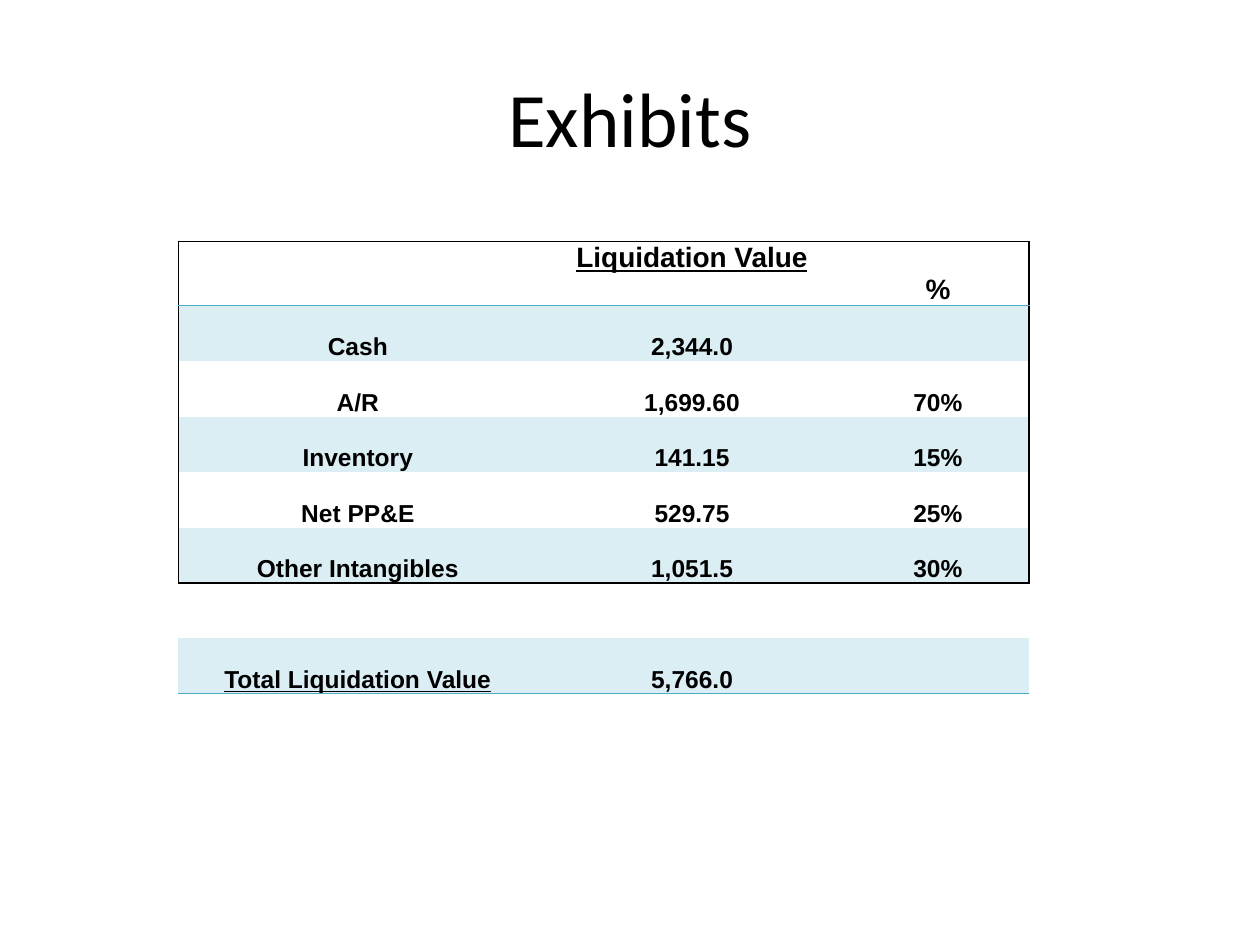
from lxml import etree
from pptx import Presentation
from pptx.dml.color import RGBColor
from pptx.enum.text import MSO_ANCHOR, PP_ALIGN
from pptx.oxml.ns import qn
from pptx.util import Pt

COLORS = {"text": "000000", "frame": "000000", "rule": "4BACC6", "band": "DAEEF3"}


def write(frame, text, font="Arial", size=14, bold=True, underline=False):
    paragraph = frame.paragraphs[0]
    paragraph.alignment = PP_ALIGN.CENTER
    run = paragraph.add_run()
    run.text = text
    run.font.name = font
    run.font.size = Pt(size)
    run.font.bold = bold
    run.font.underline = underline
    run.font.color.rgb = RGBColor.from_string(COLORS["text"])


def set_borders(cell, edges):
    """Draw the given edges, {side: (colour, width)}, and clear the others."""
    properties = cell._tc.get_or_add_tcPr()
    for index, side in enumerate("LRTB"):
        line = etree.Element(qn(f"a:ln{side}"))
        if side in edges:
            color, width = edges[side]
            line.set("w", str(Pt(width)))
            fill = etree.SubElement(line, qn("a:solidFill"))
            etree.SubElement(fill, qn("a:srgbClr"), val=COLORS[color])
        else:
            etree.SubElement(line, qn("a:noFill"))
        properties.insert(index, line)


presentation = Presentation()
presentation.slide_width = Pt(720)
presentation.slide_height = Pt(540)
slide = presentation.slides.add_slide(presentation.slide_layouts[6])

# Title
title = slide.shapes.add_textbox(Pt(36), Pt(21.6), Pt(648), Pt(90)).text_frame
title.word_wrap = True
title.vertical_anchor = MSO_ANCHOR.MIDDLE
write(title, "Exhibits", font="Calibri", size=44, bold=False)

# Liquidation table
rows = [
    ("", "Liquidation Value", "%"),
    ("Cash", "2,344.0", ""),
    ("A/R", "1,699.60", "70%"),
    ("Inventory", "141.15", "15%"),
    ("Net PP&E", "529.75", "25%"),
    ("Other Intangibles", "1,051.5", "30%"),
    ("", "", ""),
    ("Total Liquidation Value", "5,766.0", ""),
]
underlined = {"Liquidation Value", "Total Liquidation Value"}
column_widths = [205, 177, 104]
header_height, row_height = 36.7, 31.7
last_asset = 5
total = len(rows) - 1
frame_line, rule_line = ("frame", 1), ("rule", 0.5)
top_lines = {0: frame_line, 1: rule_line, last_asset + 1: frame_line}
bottom_lines = {0: rule_line, last_asset: frame_line, total: rule_line}

liquidation = slide.shapes.add_table(
    len(rows), len(column_widths), Pt(102), Pt(138),
    Pt(sum(column_widths)), Pt(header_height + total * row_height)).table
liquidation.first_row = False
liquidation.horz_banding = False
for column, width in zip(liquidation.columns, column_widths):
    column.width = Pt(width)

for r, values in enumerate(rows):
    liquidation.rows[r].height = Pt(row_height if r else header_height)
    for c, value in enumerate(values):
        cell = liquidation.cell(r, c)
        cell.margin_left = cell.margin_right = cell.margin_top = Pt(0.7)
        cell.margin_bottom = Pt(0)
        # The value heading sits on the upper line, all else at the bottom
        heading = (r, c) == (0, 1)
        cell.vertical_anchor = MSO_ANCHOR.TOP if heading else MSO_ANCHOR.BOTTOM
        if value:
            write(cell.text_frame, value, size=14 if r else 16,
                  underline=value in underlined)

        # Every second row is tinted
        if r % 2:
            cell.fill.solid()
            cell.fill.fore_color.rgb = RGBColor.from_string(COLORS["band"])
        else:
            cell.fill.background()

        # Frame around the assets, thin rules under header and total
        edges = {}
        if r in top_lines:
            edges["T"] = top_lines[r]
        if r in bottom_lines:
            edges["B"] = bottom_lines[r]
        if r <= last_asset and c == 0:
            edges["L"] = frame_line
        if r <= last_asset and c == len(values) - 1:
            edges["R"] = frame_line
        set_borders(cell, edges)

presentation.save("out.pptx")
